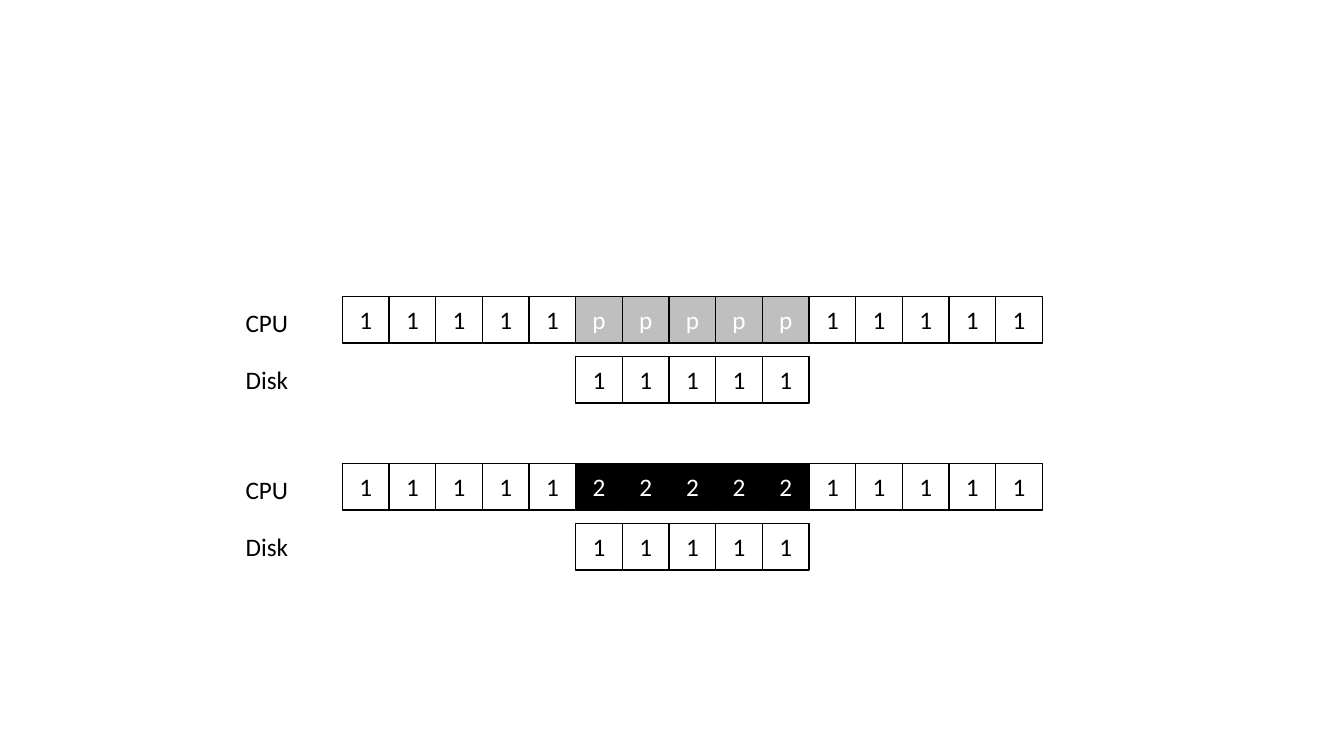
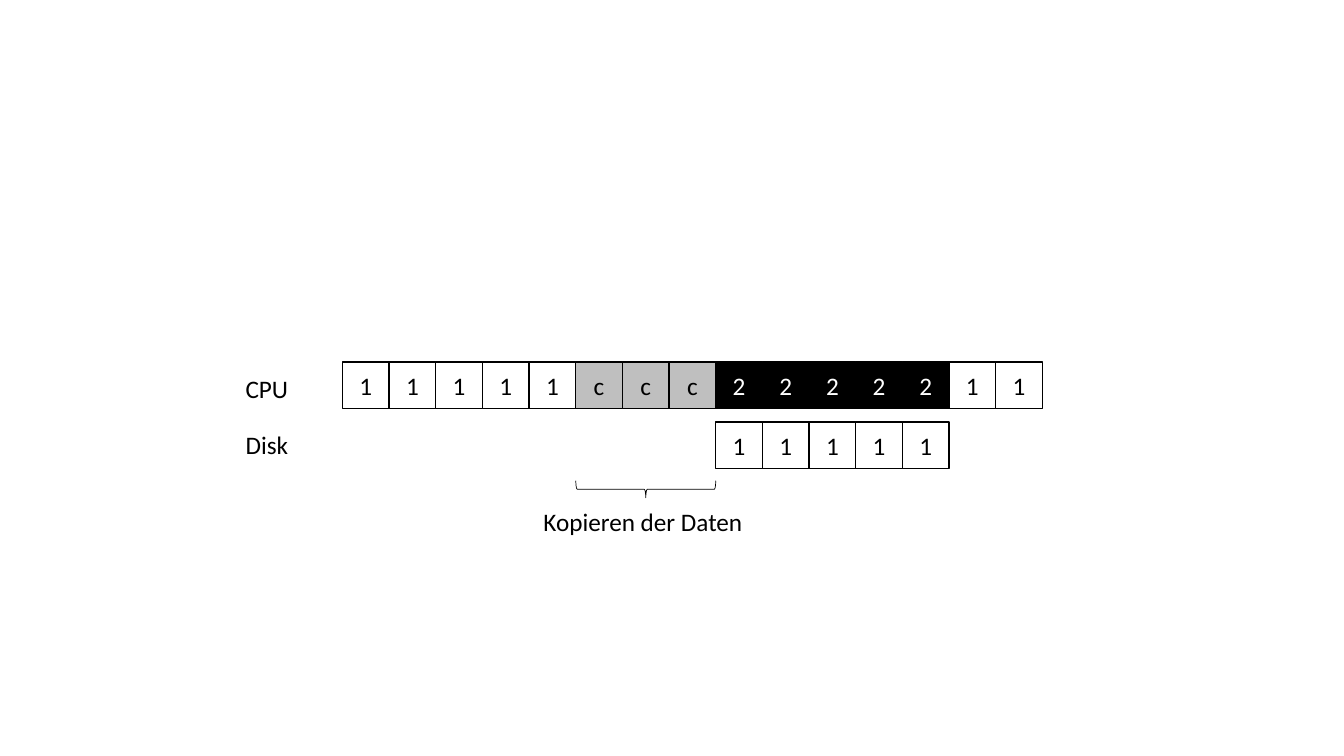
import pptx
import pptx.util
import pptx.dml.color
import pptx.enum.shapes
import pptx.enum.text

Cm = pptx.util.Cm
Pt = pptx.util.Pt
SHAPE = pptx.enum.shapes.MSO_SHAPE
ALIGN = pptx.enum.text.PP_ALIGN
ANCHOR = pptx.enum.text.MSO_ANCHOR

COLORS = {"black": "000000", "white": "FFFFFF", "grey": "BFBFBF"}
FONT = "Calibri"

# Fill and text colour of each kind of time slot
SLOT_STYLES = {
    "1": ("white", "black"),
    "2": ("black", "white"),
    "p": ("grey", "white"),
    "c": ("grey", "black"),
}

# Each timeline: top in cm, then (label, first slot, slots) per resource
SLIDES = [
    {"timelines": [
        (7.47, [("CPU", 0, "11111ppppp11111"), ("Disk", 5, "11111")]),
        (11.68, [("CPU", 0, "111112222211111"), ("Disk", 5, "11111")]),
    ]},
    {"timelines": [
        (9.12, [("CPU", 0, "11111ccc2222211"), ("Disk", 8, "11111")]),
    ],
     "brace": {"first": 5, "count": 3, "text": "Kopieren der Daten "}},
]

GRID_LEFT = Cm(8.63)
SLOT = Cm(17.64) / 15
ROW_PITCH = Cm(1.51)
LABEL_LEFT, LABEL_WIDTH, LABEL_HEIGHT = Cm(5.94), Cm(1.85), Cm(1.03)
LABEL_DROP, LABEL_PITCH = Cm(0.15), Cm(1.43)
BRACE_DROP, BRACE_HEIGHT = Cm(3.21), Cm(0.43)
CAPTION_DROP, CAPTION_WIDTH = Cm(3.51), Cm(7.65)


def rgb(name):
    """Return the named colour."""
    return pptx.dml.color.RGBColor.from_string(COLORS[name])


def slot_x(index):
    """Return the left edge of a time slot."""
    return round(GRID_LEFT + index * SLOT)


def write(sp, text, color="black", align=ALIGN.LEFT, anchor=ANCHOR.TOP, wrap=True):
    """Put formatted text into a shape."""
    tf = sp.text_frame
    tf.word_wrap = wrap
    tf.vertical_anchor = anchor
    p = tf.paragraphs[0]
    p.alignment = align
    r = p.add_run()
    r.text = text
    r.font.name, r.font.size = FONT, Pt(18)
    r.font.color.rgb = rgb(color)


def add_outline(s, kind, box, fill=None, weight=1):
    """Add a black-edged shape, filled or empty."""
    sp = s.shapes.add_shape(kind, *box)
    sp.shadow.inherit = False
    if fill:
        sp.fill.solid()
        sp.fill.fore_color.rgb = rgb(fill)
    else:
        sp.fill.background()
    sp.line.color.rgb = rgb("black")
    sp.line.width = Pt(weight)
    return sp


def add_timeline(s, top, rows):
    """Draw the labelled slot rows of one timeline."""
    for i, (label, first, slots) in enumerate(rows):
        y = top + i * ROW_PITCH
        for j, mark in enumerate(slots, first):
            fill, color = SLOT_STYLES[mark]
            sp = add_outline(s, SHAPE.RECTANGLE,
                             (slot_x(j), y, round(SLOT), round(SLOT)), fill)
            write(sp, mark, color=color, align=ALIGN.CENTER, anchor=ANCHOR.MIDDLE)
        tb = s.shapes.add_textbox(LABEL_LEFT, top + LABEL_DROP + i * LABEL_PITCH,
                                  LABEL_WIDTH, LABEL_HEIGHT)
        write(tb, label, wrap=False)


def add_brace(s, top, first, count, text):
    """Draw a downward brace under some slots, with its caption."""
    span = round(count * SLOT)
    center = slot_x(first) + span // 2
    box = (center - BRACE_HEIGHT // 2, top + BRACE_DROP - span // 2, BRACE_HEIGHT, span)
    sp = add_outline(s, SHAPE.RIGHT_BRACE, box, weight=0.5)
    sp.rotation = 90
    tb = s.shapes.add_textbox(center - CAPTION_WIDTH // 2, top + CAPTION_DROP,
                              CAPTION_WIDTH, LABEL_HEIGHT)
    write(tb, text, align=ALIGN.CENTER)


prs = pptx.Presentation()
prs.slide_width, prs.slide_height = Cm(33.87), Cm(19.05)
for content in SLIDES:
    s = prs.slides.add_slide(prs.slide_layouts[6])
    for top, rows in content["timelines"]:
        add_timeline(s, Cm(top), rows)
    if "brace" in content:
        add_brace(s, Cm(top), **content["brace"])
prs.save("out.pptx")
